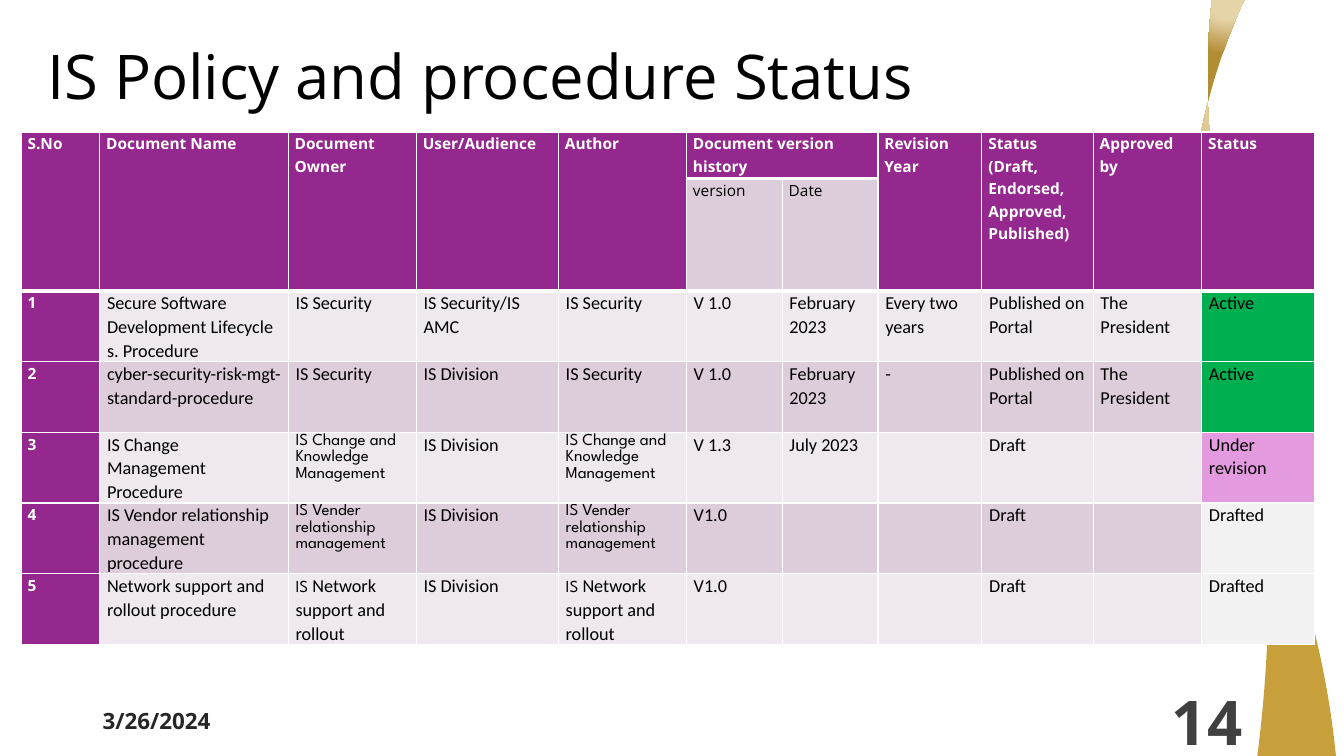
"""Build the policy and procedure status slide."""

from dataclasses import dataclass

from lxml.etree import SubElement
from pptx import Presentation
from pptx.dml.color import RGBColor
from pptx.enum.text import MSO_ANCHOR, PP_ALIGN
from pptx.oxml.ns import qn
from pptx.util import Inches, Pt

COLORS = {
    "purple": "95288E", "light": "EFE8EE", "dark": "DDCDDB", "white": "FFFFFF",
    "black": "000000", "date": "262626", "number": "404040",
    "active": "00B050", "revision": "E49ADF", "drafted": "F2F2F2",
    "sand": "E6D4A9", "straw": "D9BE7D", "gold": "C7A03C", "bronze": "B38D34",
}
GRID_COLUMNS, GRID_ROWS = 1333, 750
SLIDE_WIDTH, SLIDE_HEIGHT = Inches(13.33), Inches(7.5)


def columns(count: float) -> int:
    """Return the width of a number of grid columns."""
    return round(SLIDE_WIDTH * count / GRID_COLUMNS)


def rows(count: float) -> int:
    """Return the height of a number of grid rows."""
    return round(SLIDE_HEIGHT * count / GRID_ROWS)


@dataclass(frozen=True)
class Ribbon:
    """Outline in grid units, where three points are a curve and one a line."""

    start: tuple[int, int]
    segments: tuple[tuple[tuple[int, int], ...], ...]
    middle: str
    edge: str


@dataclass(frozen=True)
class Label:
    """Text box placed on the grid."""

    text: str
    place: tuple[int, int, int, int]
    size: int
    color: str
    bold: bool = True
    align: PP_ALIGN = PP_ALIGN.LEFT
    spacing: float = 1.0


@dataclass(frozen=True)
class Span:
    """Piece of table text with its format."""

    text: str
    font: str = "Calibri"
    size: int = 13
    color: str = "black"
    bold: bool = False


@dataclass(frozen=True)
class Policy:
    """One document in the table, with the owner also its author."""

    name: str
    owner: tuple[Span, ...]
    audience: str
    version: str
    date: str
    revision: str
    stage: str
    approver: str
    status: str
    status_color: str


def small(text: str) -> Span:
    """Return text in the compact owner format."""
    return Span(text, "League Spartan", 12)


def heading(text: str) -> Span:
    """Return text in the white header format."""
    return Span(text, "Open Sans", 11, "white", True)


RIBBONS = [
    Ribbon((1252, 466), (((1255, 504), (1258, 542), (1258, 581)),
                         ((1258, 640), (1254, 696), (1247, 750)), ((1325, 750),),
                         ((1320, 700), (1311, 652), (1298, 605)),
                         ((1285, 558), (1268, 512), (1252, 466))), "sand", "gold"),
    Ribbon((1187, 296), (((1199, 366), (1229, 429), (1260, 492)),
                         ((1253, 437), (1242, 383), (1231, 330)),
                         ((1216, 256), (1201, 180), (1198, 102)),
                         ((1182, 165), (1176, 232), (1187, 296))), "straw", "bronze"),
    Ribbon((1198, 102), (((1207, 67), (1219, 33), (1234, 0)), ((1202, 0),),
                         ((1200, 20), (1198, 41), (1198, 61)),
                         ((1198, 75), (1198, 88), (1198, 102))), "sand", "bronze"),
]
LABELS = [
    Label("IS Policy and procedure Status", (37, 35, 1205, 88), 44, "black", False, spacing=0.9),
    Label("3/26/2024", (92, 695, 300, 40), 16, "date"),
    Label("14", (942, 695, 300, 40), 44, "number", align=PP_ALIGN.RIGHT),
]
COLUMN_WIDTHS = (78, 187, 127, 141, 127, 95, 95, 103, 110.4, 107.6, 112)
HEADER_HEIGHTS, BODY_HEIGHT = (46, 111.5), 70.2
HEADINGS = ("S.No", "Document Name", "Document Owner", "User/Audience", "Author",
            "Document version history", "", "Revision Year",
            "Status (Draft, Endorsed, Approved, Published)", "Approved by", "Status")
VERSION_COLUMN, DATE_COLUMN = 5, 6
SECURITY = (Span("IS Security"),)
NETWORK = (small("IS "), Span("Network support and rollout"))
POLICIES = [
    Policy("Secure Software Development Lifecycle s. Procedure", SECURITY, "IS Security/IS AMC",
           "V 1.0", "February 2023", "Every two years", "Published on Portal", "The President",
           "Active", "active"),
    Policy("cyber-security-risk-mgt-standard-procedure", SECURITY, "IS Division",
           "V 1.0", "February 2023", "-", "Published on Portal", "The President",
           "Active", "active"),
    Policy("IS Change Management Procedure", (small("IS Change and Knowledge Management"),),
           "IS Division", "V 1.3", "July 2023", "", "Draft", "", "Under revision", "revision"),
    Policy("IS Vendor relationship management procedure",
           (small("IS Vender relationship management"),),
           "IS Division", "V1.0", "", "", "Draft", "", "Drafted", "drafted"),
    Policy("Network support and rollout procedure", NETWORK,
           "IS Division", "V1.0", "", "", "Draft", "", "Drafted", "drafted"),
]


def write(para, text: str, *, font: str, size: int, color: str, bold: bool) -> None:
    """Add formatted text to a paragraph."""
    span = para.add_run()
    span.text = text
    span.font.name, span.font.size, span.font.bold = font, Pt(size), bold
    span.font.color.rgb = RGBColor.from_string(COLORS[color])


def draw_ribbon(page, ribbon: Ribbon) -> None:
    """Draw a curved ribbon with a circular gradient."""
    builder = page.shapes.build_freeform(columns(ribbon.start[0]), rows(ribbon.start[1]))
    builder.add_line_segments([(columns(x), rows(y)) for segment in ribbon.segments
                               for x, y in segment], close=True)
    shape = builder.convert_to_shape()
    lines = iter(list(shape.element.iter(qn("a:lnTo"))))
    for segment in ribbon.segments:
        first, *others = [next(lines) for _ in segment]
        if others:
            first.tag = qn("a:cubicBezTo")
            for line in others:
                first.append(line[0])
                line.getparent().remove(line)
    shape.shadow.inherit = False
    shape.line.fill.background()
    shape.fill.gradient()
    gradient = shape.element.spPr.find(qn("a:gradFill"))
    for child in list(gradient):
        gradient.remove(child)
    stops = SubElement(gradient, qn("a:gsLst"))
    for position, color in ((0, "sand"), (35, ribbon.middle), (100, ribbon.edge)):
        stop = SubElement(stops, qn("a:gs"), pos=str(position * 1000))
        SubElement(stop, qn("a:srgbClr"), val=COLORS[color])
    circle = SubElement(gradient, qn("a:path"), path="circle")
    SubElement(circle, qn("a:fillToRect"), l="50000", t="-80000", r="50000", b="180000")


def draw_label(page, label: Label) -> None:
    """Draw a text box."""
    left, top, width, height = label.place
    box = page.shapes.add_textbox(columns(left), rows(top), columns(width), rows(height))
    frame = box.text_frame
    frame.word_wrap, frame.vertical_anchor = True, MSO_ANCHOR.MIDDLE
    para = frame.paragraphs[0]
    para.alignment, para.line_spacing = label.align, label.spacing
    write(para, label.text, font="Open Sans", size=label.size, color=label.color, bold=label.bold)


def fill_cell(table, row: int, column: int, spans: tuple[Span, ...], fill: str) -> None:
    """Give a table cell its borders, fill and text."""
    cell = table.cell(row, column)
    cell.margin_left = cell.margin_right = columns(6.4 if row < 2 or column == 0 else 7.2)
    cell.margin_top = cell.margin_bottom = 0
    widths = {"L": 1, "R": 1, "T": 3 if row in (1, 2) else 1, "B": 3 if row < 2 else 1}
    for side, width in widths.items():
        line = SubElement(cell._tc.get_or_add_tcPr(), qn(f"a:ln{side}"), w=str(Pt(width)))
        SubElement(SubElement(line, qn("a:solidFill")), qn("a:srgbClr"), val=COLORS["white"])
    cell.fill.solid()
    cell.fill.fore_color.rgb = RGBColor.from_string(COLORS[fill])
    para = cell.text_frame.paragraphs[0]
    para.line_spacing = 1.07
    for span in filter(lambda item: item.text, spans):
        write(para, span.text, font=span.font, size=span.size, color=span.color, bold=span.bold)


def draw_table(page) -> None:
    """Draw the table of policies."""
    heights = HEADER_HEIGHTS + (BODY_HEIGHT,) * len(POLICIES)
    table = page.shapes.add_table(len(heights), len(COLUMN_WIDTHS), columns(21), rows(131),
                                  columns(sum(COLUMN_WIDTHS)), rows(sum(heights))).table
    table.horz_banding = False
    for column, width in zip(table.columns, COLUMN_WIDTHS):
        column.width = columns(width)
    for row, height in zip(table.rows, heights):
        row.height = rows(height)
    subheadings = {VERSION_COLUMN: "version", DATE_COLUMN: "Date"}
    for column, text in enumerate(HEADINGS):
        fill_cell(table, 0, column, (heading(text),), "purple")
        below = Span(subheadings.get(column, ""), "Open Sans", 11)
        fill_cell(table, 1, column, (below,), "dark" if below.text else "purple")
        if column not in subheadings:
            table.cell(0, column).merge(table.cell(1, column))
    table.cell(0, VERSION_COLUMN).merge(table.cell(0, DATE_COLUMN))
    for number, policy in enumerate(POLICIES, 1):
        band = "light" if number % 2 else "dark"
        texts = (policy.version, policy.date, policy.revision, policy.stage, policy.approver,
                 policy.status)
        cells = [(heading(str(number)),), (Span(policy.name),), policy.owner,
                 (Span(policy.audience),), policy.owner, *((Span(text),) for text in texts)]
        fills = ["purple"] + [band] * (len(cells) - 2) + [policy.status_color]
        for column, (spans, fill) in enumerate(zip(cells, fills)):
            fill_cell(table, number + 1, column, spans, fill)


def main() -> None:
    """Build and save the deck."""
    deck = Presentation()
    deck.slide_width, deck.slide_height = SLIDE_WIDTH, SLIDE_HEIGHT
    page = deck.slides.add_slide(deck.slide_layouts[6])
    for ribbon in RIBBONS:
        draw_ribbon(page, ribbon)
    for label in LABELS:
        draw_label(page, label)
    draw_table(page)
    deck.save("out.pptx")


if __name__ == "__main__":
    main()
